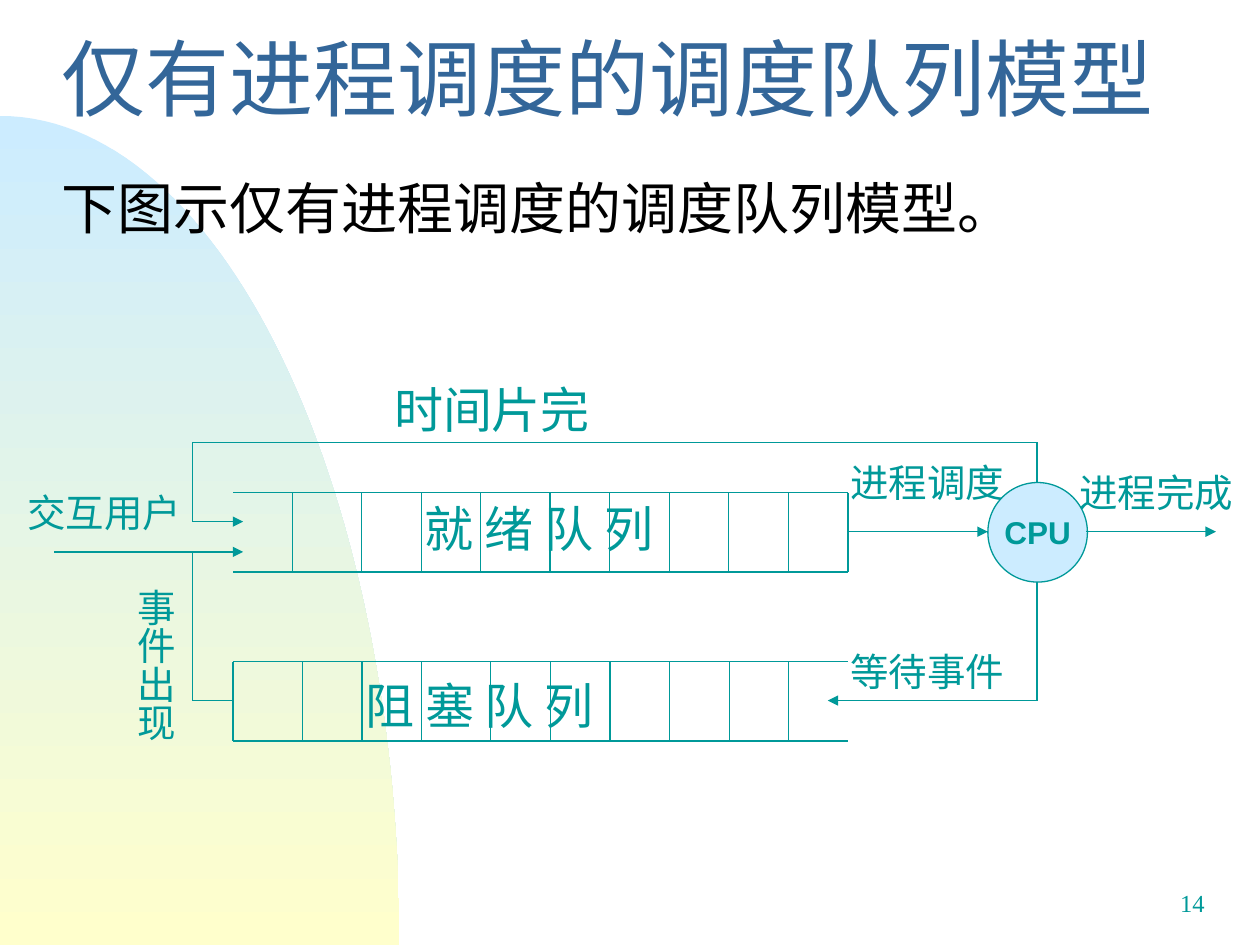
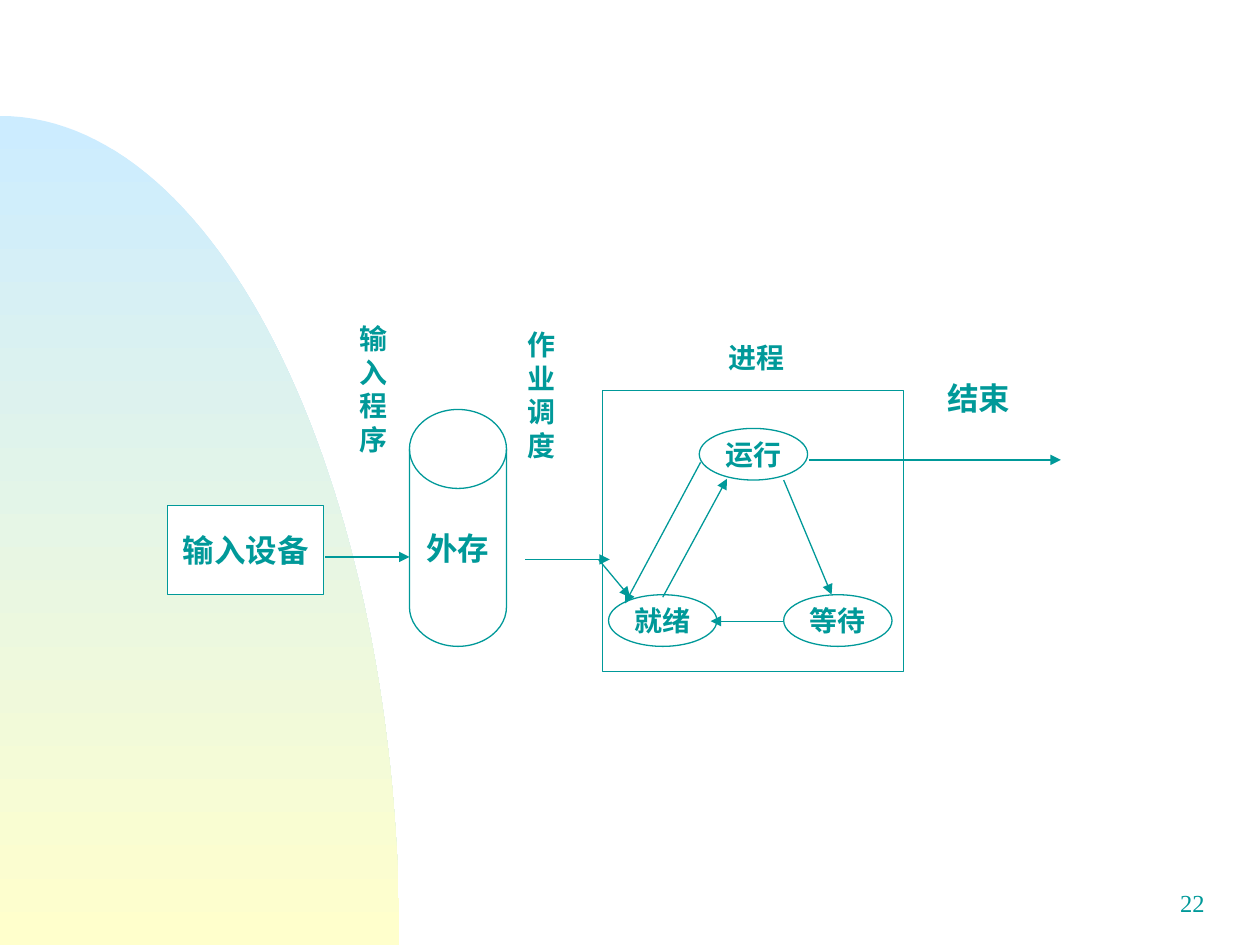
from dataclasses import dataclass
from itertools import accumulate, pairwise

from lxml.etree import SubElement
from pptx import Presentation
from pptx.dml.color import RGBColor as RGB
from pptx.enum.shapes import MSO_CONNECTOR as LINK, MSO_SHAPE as SHAPE
from pptx.enum.text import MSO_ANCHOR as ANCHOR, MSO_AUTO_SIZE as FIT, PP_ALIGN as ALIGN
from pptx.oxml.ns import qn
from pptx.util import Inches, Pt


@dataclass(frozen=True)
class Theme:
    teal: RGB = RGB(0x00, 0x99, 0x99)
    title: RGB = RGB(0x33, 0x66, 0x99)
    body: RGB = RGB(0, 0, 0)
    white: RGB = RGB(0xFF, 0xFF, 0xFF)
    sky: RGB = RGB(0xCC, 0xEC, 0xFF)
    cream: RGB = RGB(0xFF, 0xFF, 0xCC)
    sans: str = "Arial"
    narrow: str = "Arial Narrow"
    serif: str = "Times New Roman"
    title_size: int = 48
    body_size: int = 32
    queue_size: int = 28
    label_size: int = 22
    node_size: int = 18
    state_size: int = 16
    number_size: int = 14
    line_width: float = 0.75


class Deck:
    """Draws styled elements on the current slide of a presentation."""

    def __init__(self, theme):
        self.theme = theme
        self.show = Presentation()
        self.show.slide_width, self.show.slide_height = Inches(10), Inches(7.5)
        self.slide = None

    def new_slide(self, number):
        self.slide = self.show.slides.add_slide(self.show.slide_layouts[6])
        self.hill()
        self.text(number, 7.58, 7, 2.08, 0.5, self.theme.number_size,
                  font=self.theme.serif, align=ALIGN.RIGHT)

    def hill(self):
        width, top, bottom, steps = 3.17, 0.92, 7.5, 60
        curve = []
        for t in (step / steps for step in range(1, steps + 1)):
            u = 1 - t
            x = 3 * u * u * t * 1.75 + (3 * u * t * t + t ** 3) * width
            y = (u ** 3 + 3 * u * u * t) * top + 3 * u * t * t * 3.87 + t ** 3 * bottom
            curve.append((Inches(x), Inches(y)))
        outline = self.slide.shapes.build_freeform(0, Inches(top))
        outline.add_line_segments(curve + [(0, Inches(bottom))], close=True)
        hill = outline.convert_to_shape()
        hill.shadow.inherit = False
        hill.line.fill.background()
        hill.fill.gradient()
        hill.fill.gradient_angle = 270
        colours = (self.theme.sky, self.theme.cream)
        for stop, position, colour in zip(hill.fill.gradient_stops, (0, 1), colours):
            stop.position = position
            stop.color.rgb = colour

    def add_lines(self, frame, lines, size, font, colour, bold, align):
        for index, line in enumerate(lines):
            paragraph = frame.add_paragraph() if index else frame.paragraphs[0]
            paragraph.alignment = align
            run = paragraph.add_run()
            run.text = line
            run.font.size = Pt(size)
            run.font.name = font
            run.font.bold = bold
            run.font.color.rgb = colour

    def text(self, words, left, top, width, height, size, font=None, colour=None,
             bold=False, align=ALIGN.LEFT, grow=False):
        box = self.slide.shapes.add_textbox(*map(Inches, (left, top, width, height)))
        frame = box.text_frame
        frame.word_wrap = True
        frame.auto_size = FIT.SHAPE_TO_FIT_TEXT if grow else FIT.NONE
        self.add_lines(frame, [words], size, font or self.theme.sans,
                       colour or self.theme.teal, bold, align)
        return frame

    def heading(self, words):
        frame = self.text(words, 0.39, 0.17, 9.44, 1.08, self.theme.title_size,
                          self.theme.narrow, self.theme.title)
        frame.vertical_anchor = ANCHOR.MIDDLE
        frame.paragraphs[0].line_spacing = 0.7

    def queue_label(self, words, left, top):
        self.text(words, left, top, 2.13, 0.57, self.theme.queue_size, grow=True)

    def label(self, words, left, top):
        self.text(words, left, top, 1.57, 0.47, self.theme.label_size, grow=True)

    def upright_label(self, words, left, top, width, height):
        frame = self.text(words, left, top, width, height, self.theme.label_size, grow=True)
        frame.word_wrap = False
        frame.margin_left = frame.margin_right = Inches(0.05)
        frame.margin_top = frame.margin_bottom = Inches(0.1)
        frame._txBody.bodyPr.set("vert", "eaVert")

    def node(self, kind, left, top, width, height, lines=(), size=None, font=None,
             fill=None, edge=None):
        node = self.slide.shapes.add_shape(kind, *map(Inches, (left, top, width, height)))
        node.shadow.inherit = False
        node.fill.solid()
        node.fill.fore_color.rgb = fill or self.theme.white
        node.line.color.rgb = edge or self.theme.teal
        node.line.width = Pt(self.theme.line_width)
        frame = node.text_frame
        frame.word_wrap = False
        frame.vertical_anchor = ANCHOR.MIDDLE
        self.add_lines(frame, lines, size or self.theme.node_size, font or self.theme.serif,
                       self.theme.teal, True, ALIGN.CENTER)

    def state(self, words, left, top):
        self.node(SHAPE.OVAL, left, top, 0.86, 0.41, [words], self.theme.state_size)

    def caption(self, lines, left, top, width, height):
        self.node(SHAPE.RECTANGLE, left, top, width, height, lines,
                  self.theme.state_size, edge=self.theme.white)

    def line(self, start, end, arrow=False):
        link = self.slide.shapes.add_connector(LINK.STRAIGHT, *map(Inches, start + end))
        link.line.color.rgb = self.theme.teal
        link.line.width = Pt(self.theme.line_width)
        if arrow:
            SubElement(link.line._get_or_add_ln(), qn("a:tailEnd"), type="triangle")
        SubElement(link._element.spPr, qn("a:effectLst"))

    def route(self, *points, arrow=True):
        legs = list(pairwise(points))
        for index, (start, end) in enumerate(legs, 1):
            self.line(start, end, arrow and index == len(legs))

    def queue(self, top, first_divider):
        left, right, bottom = 1.85, 6.73, top + 0.63
        for y in (top, bottom):
            self.line((left, y), (right, y))
        wide, span = 0.55, 4.41
        narrow = (span - 2 * wide) / 7
        cells = [wide, narrow, narrow] * 2 + [narrow] * 3
        for x in accumulate(cells, initial=first_divider):
            self.line((x, top), (x, bottom))


def queue_model(deck):
    theme = deck.theme
    deck.new_slide("14")
    deck.heading("仅有进程调度的调度队列模型")
    deck.text("下图示仅有进程调度的调度队列模型。", 0.39, 1.33, 9.36, 5.58,
              theme.body_size, colour=theme.body)
    deck.queue(3.91, 2.32)
    deck.queue(5.25, 1.85)
    deck.node(SHAPE.OVAL, 7.84, 3.83, 0.79, 0.79, ["CPU"], font=theme.sans, fill=theme.sky)

    cpu_x, return_x = 8.23, 1.53
    deck.route((cpu_x, 3.83), (cpu_x, 3.51), (return_x, 3.51), (return_x, 4.14), (1.93, 4.14))
    deck.route((cpu_x, 4.62), (cpu_x, 5.56), (6.57, 5.56))
    deck.route((return_x, 4.38), (return_x, 5.56), (1.85, 5.56), arrow=False)
    deck.route((0.43, 4.38), (1.93, 4.38))
    deck.route((6.73, 4.22), (7.84, 4.22))
    deck.route((8.62, 4.22), (9.65, 4.22))

    deck.queue_label("就 绪 队 列", 3.27, 3.91)
    deck.queue_label("阻 塞 队 列", 2.8, 5.31)
    deck.queue_label("时间片完", 3.03, 2.96)
    deck.label("进程调度", 6.65, 3.59)
    deck.label("等待事件", 6.65, 5.09)
    deck.label("进程完成", 8.47, 3.67)
    deck.label("交互用户", 0.12, 3.83)
    deck.upright_label("事件出现", 0.91, 4.57, 0.56, 1.32)


def job_flow(deck):
    deck.new_slide("22")
    deck.caption(["进程"], 5.07, 2.63, 1.87, 0.41)
    deck.node(SHAPE.RECTANGLE, 4.78, 3.1, 2.39, 2.23)
    deck.node(SHAPE.RECTANGLE, 1.33, 4.01, 1.24, 0.71, ["输入设备"])
    deck.node(SHAPE.FLOWCHART_MAGNETIC_DISK, 3.25, 3.25, 0.77, 1.88, ["外存"])
    deck.state("运行", 5.55, 3.4)
    deck.state("等待", 6.22, 4.72)
    deck.state("就绪", 4.83, 4.72)
    deck.caption("输入程序", 2.77, 2.17, 0.38, 1.83)
    deck.caption("作业调度", 4.11, 2.22, 0.38, 1.83)
    for start, end in (
        ((6.22, 3.81), (6.6, 4.72)),
        ((6.22, 4.93), (5.64, 4.93)),
        ((2.58, 4.42), (3.25, 4.42)),
        ((4.17, 4.44), (4.84, 4.44)),
        ((6.42, 3.65), (8.42, 3.65)),
        ((5.56, 3.67), (4.96, 4.79)),
        ((5.26, 4.74), (5.77, 3.8)),
        ((4.75, 4.44), (5, 4.74)),
    ):
        deck.line(start, end, arrow=True)
    deck.text("结束", 7.42, 2.96, 0.75, 0.4, deck.theme.node_size, bold=True, grow=True)


def main():
    deck = Deck(Theme())
    queue_model(deck)
    job_flow(deck)
    deck.show.save("out.pptx")


if __name__ == "__main__":
    main()
